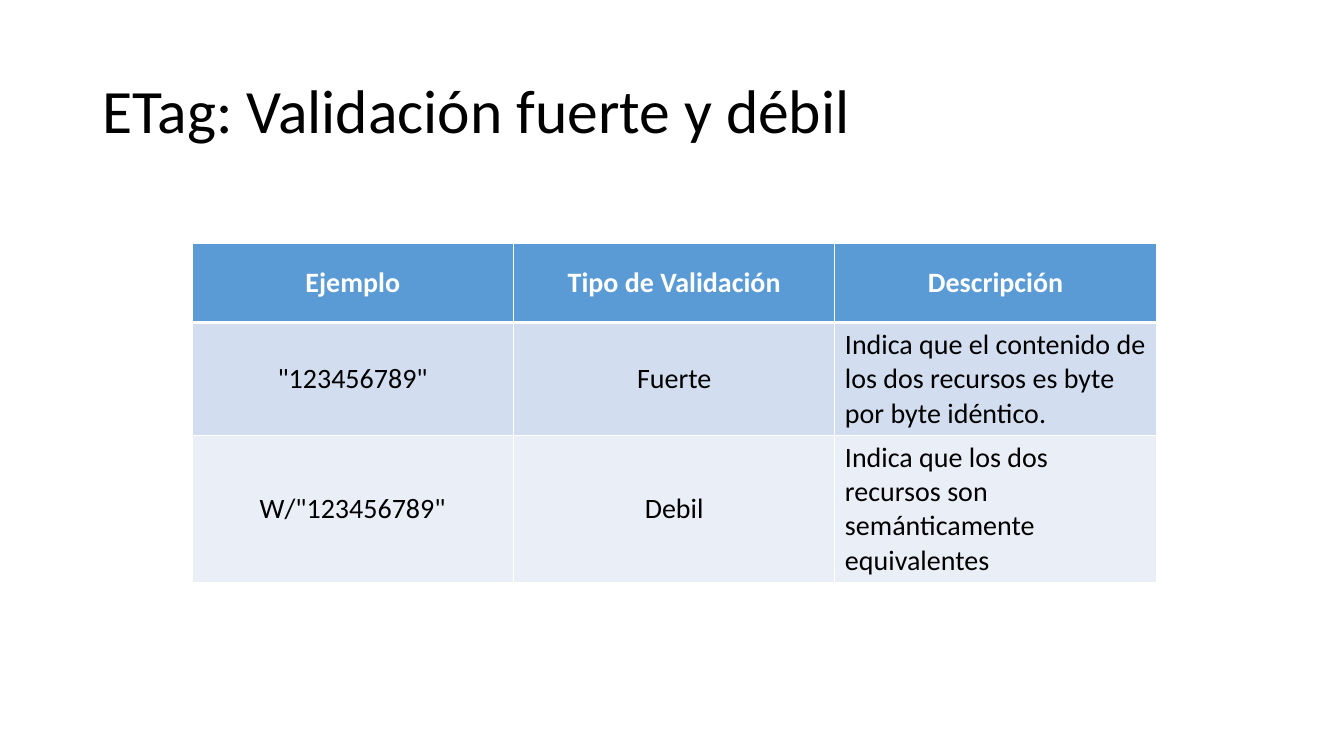
from lxml.etree import SubElement
from pptx import Presentation
from pptx.dml.color import RGBColor
from pptx.enum.text import MSO_ANCHOR, PP_ALIGN
from pptx.oxml.ns import qn
from pptx.util import Cm, Pt

COLORS = {
    "text": "000000",
    "white": "FFFFFF",
    "header": "5B9BD5",
    "odd_row": "D2DEEF",
    "even_row": "EAEFF7",
}
FONT = "Calibri"

HEADINGS = ["Ejemplo", "Tipo de Validación", "Descripción"]
VALIDATIONS = [
    ['"123456789"', "Fuerte",
     "Indica que el contenido de los dos recursos es byte por byte idéntico."],
    ['W/"123456789"', "Debil",
     "Indica que los dos recursos son semánticamente equivalentes"],
]


def write(frame, text, size=20, color="text", bold=False,
          align=PP_ALIGN.LEFT, line_spacing=1.0):
    paragraph = frame.paragraphs[0]
    paragraph.alignment = align
    paragraph.line_spacing = line_spacing
    run = paragraph.add_run()
    run.text = text
    run.font.name = FONT
    run.font.size = Pt(size)
    run.font.bold = bold
    run.font.color.rgb = RGBColor.from_string(COLORS[color])


def add_borders(cell, bottom_width):
    """Draw white borders; call before filling, as the schema puts lines first."""
    properties = cell._tc.get_or_add_tcPr()
    for side, width in (("L", 1), ("R", 1), ("T", 1), ("B", bottom_width)):
        line = SubElement(properties, qn(f"a:ln{side}"), w=str(Pt(width)))
        fill = SubElement(line, qn("a:solidFill"))
        SubElement(fill, qn("a:srgbClr"), val=COLORS["white"])


class SlideBuilder:
    def __init__(self, presentation):
        self.slide = presentation.slides.add_slide(presentation.slide_layouts[5])

    def title(self, text, left, top, width, height):
        heading = self.slide.shapes.title
        heading.left, heading.top = Cm(left), Cm(top)
        heading.width, heading.height = Cm(width), Cm(height)
        heading.text_frame.vertical_anchor = MSO_ANCHOR.MIDDLE
        write(heading.text_frame, text, size=44, line_spacing=0.9)

    def table(self, headings, records, left, top, column_width, row_height):
        rows = [headings, *records]
        table = self.slide.shapes.add_table(
            len(rows), len(headings), Cm(left), Cm(top),
            Cm(column_width * len(headings)), Cm(row_height * len(rows))).table
        for column in table.columns:
            column.width = Cm(column_width)
        for row_index, texts in enumerate(rows):
            table.rows[row_index].height = Cm(row_height)
            for column_index, text in enumerate(texts):
                self.cell(table.cell(row_index, column_index), text, row_index,
                          centered=row_index == 0 or column_index < 2)

    def cell(self, cell, text, row_index, centered):
        is_header = row_index == 0
        band = "odd_row" if row_index % 2 else "even_row"
        add_borders(cell, bottom_width=3 if is_header else 1)
        cell.fill.solid()
        cell.fill.fore_color.rgb = RGBColor.from_string(
            COLORS["header" if is_header else band])
        cell.vertical_anchor = MSO_ANCHOR.MIDDLE
        write(cell.text_frame, text, bold=is_header,
              color="white" if is_header else "text",
              align=PP_ALIGN.CENTER if centered else PP_ALIGN.LEFT)


def main():
    presentation = Presentation()
    presentation.slide_width, presentation.slide_height = Cm(33.87), Cm(19.05)
    builder = SlideBuilder(presentation)
    builder.title("ETag: Validación fuerte y débil", 2.33, 1.01, 29.21, 3.68)
    builder.table(HEADINGS, VALIDATIONS, left=4.84, top=6.13,
                  column_width=8.1, row_height=2)
    presentation.save("out.pptx")


if __name__ == "__main__":
    main()
